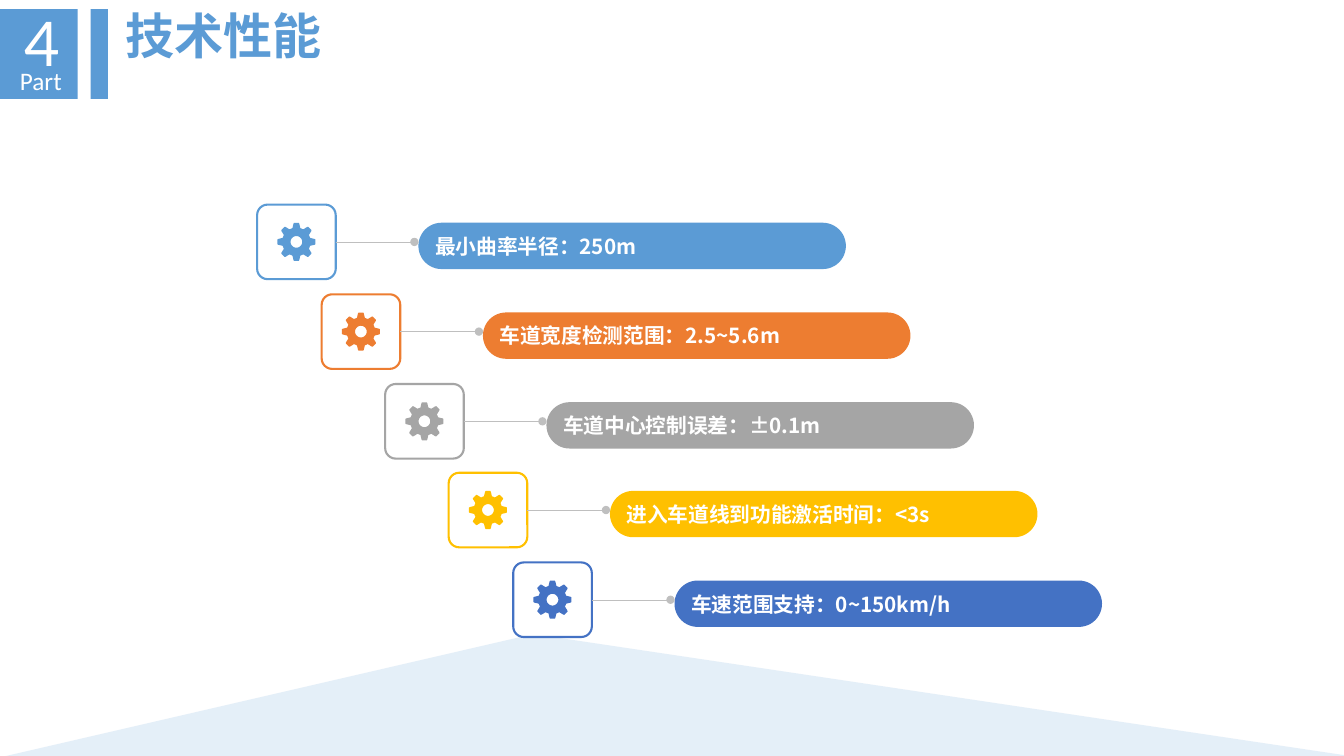
from math import cos, radians, sin

from lxml import etree
from pptx import Presentation
from pptx import util as u
from pptx.dml.color import RGBColor
from pptx.enum import shapes, text
from pptx.oxml.ns import qn

PX = 9144  # EMU per px, 100 px to the inch
COLORS = {
    "blue": "5B9BD5", "orange": "ED7D31", "gray": "A5A5A5",
    "yellow": "FFC000", "navy": "4472C4", "white": "FFFFFF",
    "line": "BFBFBF", "floor": "BDD7EE",
}
CJK = "Noto Sans CJK SC"
ROWS = [
    ("最小曲率半径：250m", "blue"),
    ("车道宽度检测范围：2.5~5.6m", "orange"),
    ("车道中心控制误差：±0.1m", "gray"),
    ("进入车道线到功能激活时间：<3s", "yellow"),
    ("车速范围支持：0~150km/h", "navy"),
]
CARD_W, CARD_H = 78, 74
STEP_X, STEP_Y = 63.5, 88.75


def rgb(name):
    return RGBColor.from_string(COLORS[name])


def polar(cx, cy, radius, angle):
    return cx + radius * cos(radians(angle)), cy + radius * sin(radians(angle))


def write(tf, words, size, color="white", font=CJK, bold=False,
          anchor=text.MSO_ANCHOR.TOP, fit=text.MSO_AUTO_SIZE.NONE):
    tf.word_wrap = True
    tf.auto_size = fit
    tf.vertical_anchor = anchor
    p = tf.paragraphs[0]
    p.alignment = text.PP_ALIGN.LEFT
    r = p.add_run()
    r.text = words
    r.font.size = u.Pt(size)
    r.font.bold = bold
    r.font.name = font
    r.font.color.rgb = rgb(color)
    ea = etree.SubElement(r._r.get_or_add_rPr(), qn("a:ea"))
    ea.set("typeface", CJK)


class Deck:
    """Holds the slide and draws styled elements on it in px."""

    def __init__(self, prs):
        self.s = prs.slides.add_slide(prs.slide_layouts[5])
        self.s.background.fill.solid()
        self.s.background.fill.fore_color.rgb = rgb("white")

    def paint(self, sp, fill, line=None):
        sp.shadow.inherit = False
        sp.fill.solid()
        sp.fill.fore_color.rgb = rgb(fill)
        if line:
            sp.line.color.rgb = rgb(line)
            sp.line.width = u.Pt(1.5)
        else:
            sp.line.fill.background()
        return sp

    def title(self, words, x, y, w, h, **fmt):
        sp = self.s.shapes.title
        sp.left, sp.top, sp.width, sp.height = (v * PX for v in (x, y, w, h))
        write(sp.text_frame, words, **fmt)

    def label(self, words, x, y, w, h, **fmt):
        sp = self.s.shapes.add_textbox(x * PX, y * PX, w * PX, h * PX)
        write(sp.text_frame, words, fit=text.MSO_AUTO_SIZE.SHAPE_TO_FIT_TEXT, **fmt)

    def box(self, x, y, w, h, fill, line=None, corner=None):
        """Draw a rectangle, rounded when corner is given."""
        kind = shapes.MSO_SHAPE
        sp = self.s.shapes.add_shape(
            kind.RECTANGLE if corner is None else kind.ROUNDED_RECTANGLE,
            x * PX, y * PX, w * PX, h * PX)
        if corner is not None:
            sp.adjustments[0] = corner
        return self.paint(sp, fill, line)

    def outline(self, contours, fill):
        """Fill closed contours; inner ones become holes."""
        paths = [[(round(x * PX), round(y * PX)) for x, y in c] for c in contours]
        builder = self.s.shapes.build_freeform(*paths[0][0], scale=1.0)
        builder.add_line_segments(paths[0][1:], close=True)
        for path in paths[1:]:
            builder.move_to(*path[0])
            builder.add_line_segments(path[1:], close=True)
        return self.paint(builder.convert_to_shape(), fill)

    def gear(self, cx, cy, fill):
        tooth = [(-16, 14.2), (-9, 18.3), (-7, 19), (7, 19), (9, 18.3), (16, 14.2)]
        rim = [polar(cx, cy, radius, 45 * i + angle)
               for i in range(8) for angle, radius in tooth]
        hole = [polar(cx, cy, 5.8, -angle) for angle in range(0, 360, 10)]
        self.outline([rim, hole], fill)

    def link(self, card, x, y):
        """Join the right side of a card to a dot at x, y."""
        c = self.s.shapes.add_connector(
            shapes.MSO_CONNECTOR.STRAIGHT,
            card.left + card.width, y * PX, x * PX, y * PX)
        c.begin_connect(card, 3)
        c.line.color.rgb = rgb("line")
        c.line.width = u.Pt(0.25)
        etree.SubElement(c.line._get_or_add_ln(), qn("a:tailEnd")).set("type", "oval")
        etree.SubElement(c._element.spPr, qn("a:effectLst"))

    def row(self, x, y, words, color):
        mid = y + CARD_H // 2
        pill = self.box(x + 160, y + 18, 424, 46, color, corner=0.5)
        write(pill.text_frame, words, 14.8, bold=True, anchor=text.MSO_ANCHOR.MIDDLE)
        card = self.box(x, y, CARD_W, CARD_H, "white", line=color, corner=0.141)
        self.link(card, x + 156, mid)
        self.gear(x + CARD_W // 2, mid, color)


def main():
    prs = Presentation()
    prs.slide_width, prs.slide_height = u.Inches(13.33), u.Inches(7.5)
    deck = Deck(prs)

    floor = deck.outline([[(529, 629), (1339, 750), (6, 750)]], "floor")
    color = floor.fill._xPr.find(qn("a:solidFill"))[0]
    etree.SubElement(color, qn("a:alpha")).set("val", "40000")

    for i, (words, name) in enumerate(ROWS):
        deck.row(255 + round(STEP_X * i), 203 + round(STEP_Y * i), words, name)

    deck.title("技术性能", 114, 0, 530, 71, size=35, color="blue", font="Lato", bold=True)
    deck.box(90, 9, 17, 89, "blue")
    deck.box(0, 9, 77, 89, "blue")
    deck.label("4", 14, 0, 36, 84, size=44, font="Lato")
    deck.label("Part", 10, 60, 63, 40, size=18, font="Calibri")
    prs.save("out.pptx")


if __name__ == "__main__":
    main()
